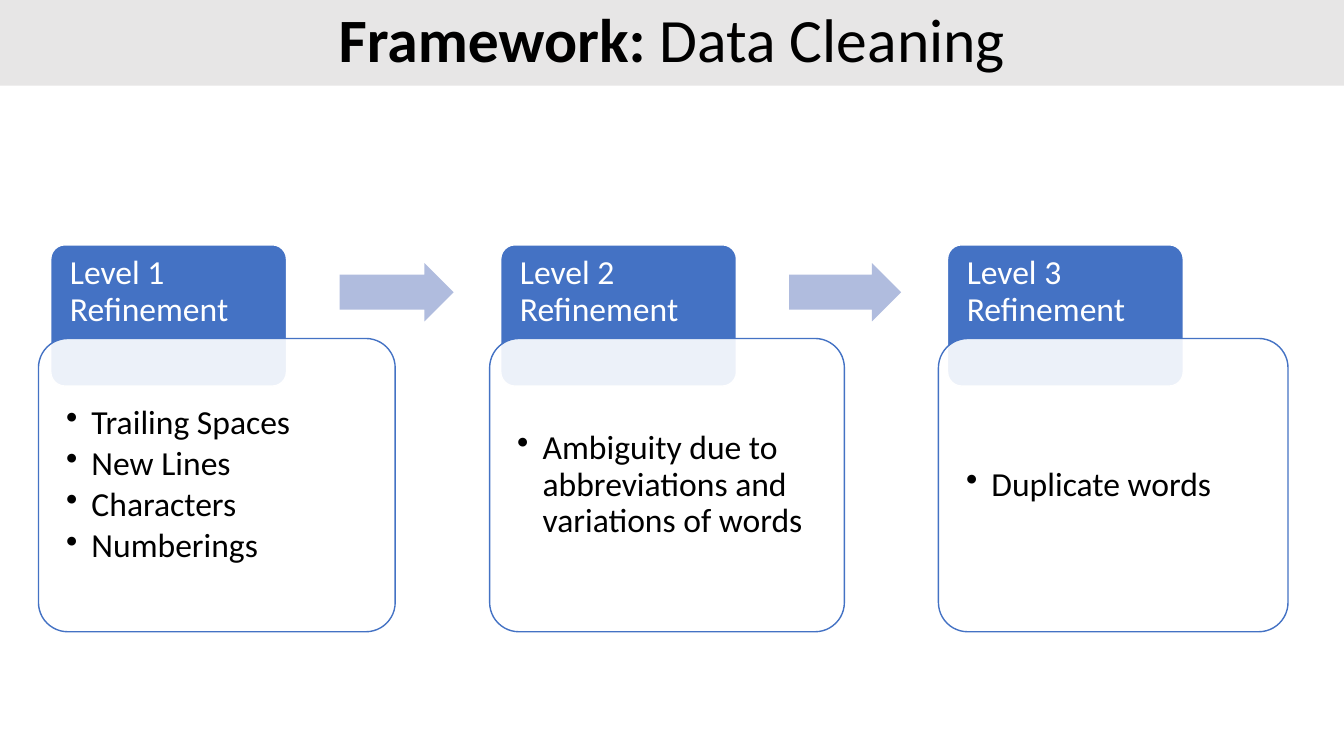
from lxml.etree import SubElement
from pptx import Presentation
from pptx.dml.color import RGBColor
from pptx.enum.shapes import MSO_SHAPE as Shape
from pptx.enum.text import MSO_ANCHOR as Anchor, PP_ALIGN as Align
from pptx.oxml.ns import qn
from pptx.util import Cm, Pt

COLORS = {
    "band": "E7E6E6",
    "blue": "4472C4",
    "arrow": "B0BCDE",
    "white": "FFFFFF",
    "black": "000000",
}
LEVELS = [
    {
        "tab_left": 1.28, "card_left": 0.97, "card_width": 8.99,
        "title": "Level 1 Refinement",
        "issues": ["Trailing Spaces", "New Lines", "Characters", "Numberings"],
        "arrow": (8.56, 2.87),
    },
    {
        "tab_left": 12.62, "card_left": 12.34, "card_width": 8.94,
        "title": "Level 2 Refinement",
        "issues": ["Ambiguity due to abbreviations and variations of words"],
        "arrow": (19.89, 2.82),
    },
    {
        "tab_left": 23.88, "card_left": 23.65, "card_width": 8.81,
        "title": "Level 3 Refinement",
        "issues": ["Duplicate words"],
        "arrow": None,
    },
]


def color(name):
    return RGBColor.from_string(COLORS[name])


def write(frame, paragraphs, size=24, ink="black", align=Align.LEFT,
          anchor=Anchor.MIDDLE, insets=(0.48, 0.48, 0.48, 0.48),
          bullet=False, after=0):
    frame.word_wrap = True
    frame.vertical_anchor = anchor
    (frame.margin_left, frame.margin_top,
     frame.margin_right, frame.margin_bottom) = map(Cm, insets)
    for index, runs in enumerate(paragraphs):
        line = frame.add_paragraph() if index else frame.paragraphs[0]
        line.alignment = align
        line.line_spacing = 0.9
        line.space_after = Pt(after)
        if bullet:
            properties = line._p.get_or_add_pPr()
            properties.set("marL", str(Cm(0.64)))
            properties.set("indent", str(Cm(-0.64)))
            SubElement(properties, qn("a:buChar"), char="•")
        for text, bold in runs:
            run = line.add_run()
            run.text = text
            run.font.name = "Calibri"
            run.font.size = Pt(size)
            run.font.bold = bold
            run.font.color.rgb = color(ink)


class Framework:
    def __init__(self, slide):
        self.slide = slide

    def block(self, kind, box, fill, line=None, adjustments=(), opacity=None):
        shape = self.slide.shapes.add_shape(kind, *map(Cm, box))
        shape.shadow.inherit = False
        shape.fill.solid()
        shape.fill.fore_color.rgb = color(fill)
        if opacity:
            paint = shape._element.spPr.find(qn("a:solidFill"))[0]
            SubElement(paint, qn("a:alpha"), val=str(opacity * 1000))
        if line:
            shape.line.color.rgb = color(line)
            shape.line.width = Pt(1)
        else:
            shape.line.fill.background()
        for index, value in enumerate(adjustments):
            shape.adjustments[index] = value
        return shape.text_frame

    def heading(self, topic, subject):
        band = self.block(Shape.RECTANGLE, (0, 0, 33.87, 2.16), "band")
        write(band, [[(topic, True), (subject, False)]], size=44,
              align=Align.CENTER, insets=(0.25, 0.13, 0.25, 0.13))

    def tab(self, left, title):
        tab = self.block(Shape.ROUNDED_RECTANGLE, (left, 6.17, 5.94, 3.56),
                         "blue", "white", [0.1])
        write(tab, [[(title, False)]], ink="white", anchor=Anchor.BOTTOM,
              insets=(0.38, 0.38, 0.38, 1.35))

    def card(self, left, width, issues):
        card = self.block(Shape.ROUNDED_RECTANGLE, (left, 8.53, width, 7.39),
                          "white", "blue", [0.1], opacity=90)
        write(card, [[(issue, False)] for issue in issues],
              bullet=True, after=3.6)

    def arrow(self, left, width):
        self.block(Shape.RIGHT_ARROW, (left, 6.63, width, 1.47),
                   "arrow", adjustments=[0.6, 0.5])


def main():
    deck = Presentation()
    deck.slide_width, deck.slide_height = Cm(33.87), Cm(19.05)
    framework = Framework(deck.slides.add_slide(deck.slide_layouts[6]))
    framework.heading("Framework: ", "Data Cleaning")
    for level in LEVELS:
        framework.tab(level["tab_left"], level["title"])
        framework.card(level["card_left"], level["card_width"], level["issues"])
        if level["arrow"]:
            framework.arrow(*level["arrow"])
    deck.save("out.pptx")


if __name__ == "__main__":
    main()
